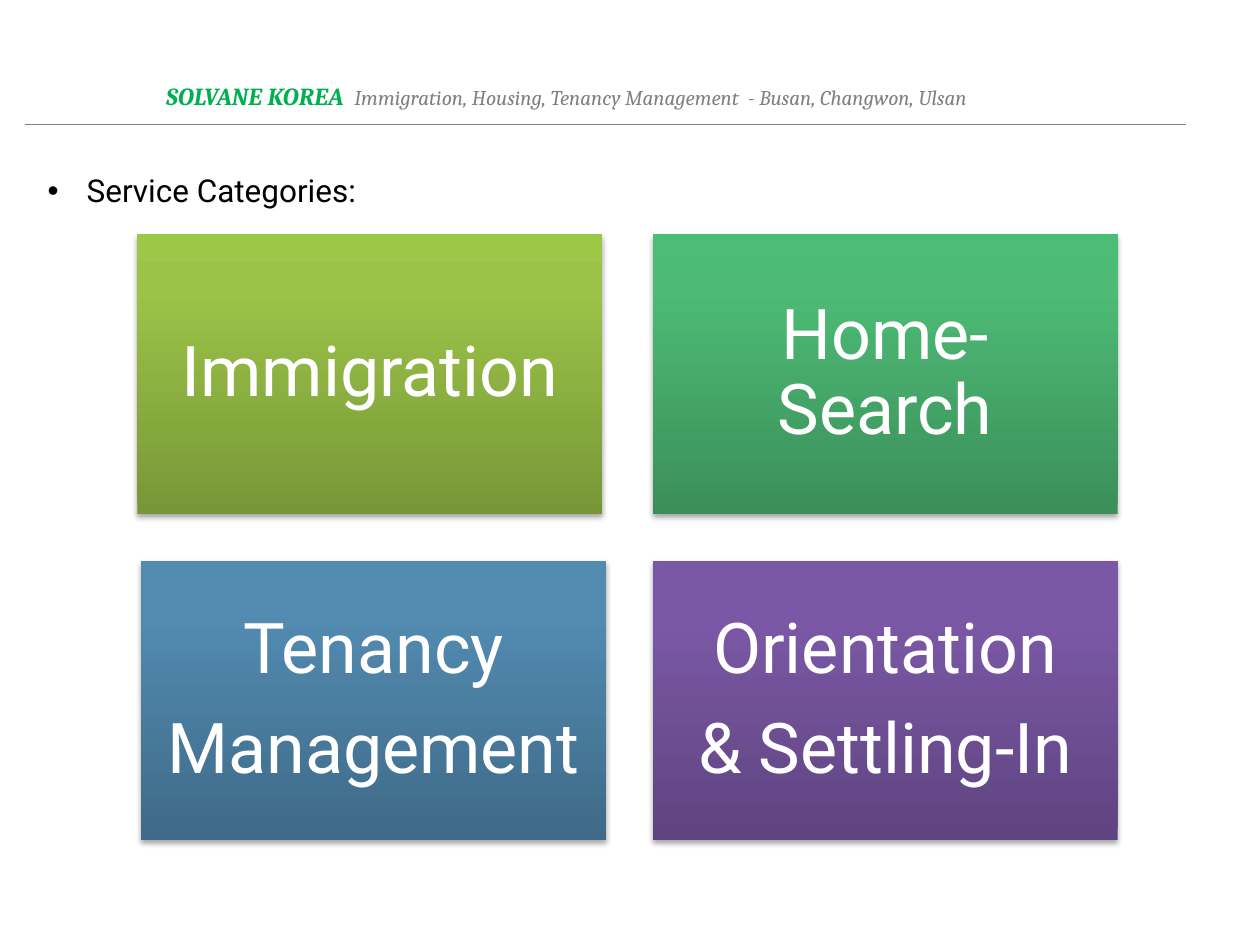
from pptx import Presentation
from pptx.dml.color import RGBColor
from pptx.enum.shapes import MSO_CONNECTOR, MSO_SHAPE
from pptx.enum.text import MSO_ANCHOR, PP_ALIGN
from pptx.oxml.ns import qn
from pptx.util import Inches, Pt
from lxml import etree

RECTANGLE = MSO_SHAPE.RECTANGLE
STRAIGHT = MSO_CONNECTOR.STRAIGHT
CENTER = PP_ALIGN.CENTER
MIDDLE = MSO_ANCHOR.MIDDLE

# Grid of service tiles, in inches
COLUMNS = (1.09, 5.18)
ROWS = (1.86, 4.45)
TILE_WIDTH, TILE_HEIGHT = 3.69, 2.22
TILE_INSET = 0.17

# Text, column, row, shift to the right, gradient from bottom to top
TILES = [
    ("Immigration", 0, 0, 0, ("779737", "9BC348", "9DC746")),
    ("Home-Search", 1, 0, 0, ("3B8F5A", "4DBA75", "4BBD75")),
    ("Tenancy\nManagement", 0, 1, 0.03, ("3F6A88", "528AB0", "518BB3")),
    ("Orientation\n& Settling-In", 1, 1, 0, ("5F4480", "7B58A6", "7C57A8")),
]
GRADIENT_STOPS = (0, 80, 100)


def color(hex_value):
    return RGBColor.from_string(hex_value)


def add_xml(parent, tag, **attributes):
    return etree.SubElement(parent, qn(tag), attributes)


def style_font(font, name, size, hex_value, bold=False, italic=False):
    font.name = name
    font.size = Pt(size)
    font.color.rgb = color(hex_value)
    font.bold = bold
    font.italic = italic


def add_text_box(slide, left, top, width, height):
    box = slide.shapes.add_textbox(
        Inches(left), Inches(top), Inches(width), Inches(height))
    box.text_frame.word_wrap = False
    return box.text_frame.paragraphs[0]


def add_header(slide):
    paragraph = add_text_box(slide, 1.22, 0.59, 7.76, 0.34)
    brand = paragraph.add_run()
    brand.text = "SOLVANE KOREA  "
    style_font(brand.font, "Cambria", 14, "00B050", bold=True, italic=True)
    tagline = paragraph.add_run()
    tagline.text = ("Immigration, Housing, Tenancy Management  "
                    "- Busan, Changwon, Ulsan")
    style_font(tagline.font, "Cambria", 12, "808080", italic=True)


def add_rule(slide):
    rule = slide.shapes.add_connector(
        STRAIGHT, Inches(0.2), Inches(0.99), Inches(9.41), Inches(0.99))
    rule.line.color.rgb = color("808080")
    rule.line.width = Pt(0.75)
    add_xml(rule._element.spPr, "a:effectLst")


def add_bullet(slide, text):
    paragraph = add_text_box(slide, 0.28, 1.31, 2.66, 0.71)
    paragraph.text = text
    properties = paragraph._p.get_or_add_pPr()
    properties.set("marL", str(Inches(0.31)))
    properties.set("indent", str(-Inches(0.31)))
    add_xml(properties, "a:buFont", typeface="Arial")
    add_xml(properties, "a:buChar", char="•")
    style_font(paragraph.runs[0].font, "Roboto", 18, "000000")


def fill_gradient(shape, colors):
    shape.fill.gradient()
    shape.fill.gradient_angle = 90
    stops = shape._element.spPr.find(qn("a:gradFill")).find(qn("a:gsLst"))
    for stop in list(stops):
        stops.remove(stop)
    for position, hex_value in zip(GRADIENT_STOPS, colors):
        stop = add_xml(stops, "a:gs", pos=str(position * 1000))
        add_xml(stop, "a:srgbClr", val=hex_value)


def add_shadow(shape):
    shape.shadow.inherit = False
    effects = shape._element.spPr.find(qn("a:effectLst"))
    shadow = add_xml(effects, "a:outerShdw", blurRad=str(Pt(3.1)),
                     dist=str(Pt(1.8)), dir="5400000", rotWithShape="0")
    shade = add_xml(shadow, "a:srgbClr", val="000000")
    add_xml(shade, "a:alpha", val="35000")


def add_tile(slide, text, column, row, shift, colors):
    tile = slide.shapes.add_shape(
        RECTANGLE, Inches(COLUMNS[column] + shift), Inches(ROWS[row]),
        Inches(TILE_WIDTH), Inches(TILE_HEIGHT))
    fill_gradient(tile, colors)
    tile.line.fill.background()
    add_shadow(tile)

    frame = tile.text_frame
    frame.word_wrap = True
    frame.vertical_anchor = MIDDLE
    frame.margin_left = frame.margin_right = Inches(TILE_INSET)
    frame.margin_top = frame.margin_bottom = Inches(TILE_INSET)
    frame.text = text
    for paragraph in frame.paragraphs:
        paragraph.alignment = CENTER
        paragraph.line_spacing = 0.9
        paragraph.space_after = Pt(14)
        style_font(paragraph.runs[0].font, "Roboto", 40, "FFFFFF")


def main():
    presentation = Presentation()
    presentation.slide_width = Inches(10)
    presentation.slide_height = Inches(7.5)
    slide = presentation.slides.add_slide(presentation.slide_layouts[6])

    # Header band
    add_header(slide)
    add_rule(slide)

    # Service categories
    add_bullet(slide, "Service Categories:")
    for tile in TILES:
        add_tile(slide, *tile)

    presentation.save("out.pptx")


if __name__ == "__main__":
    main()
